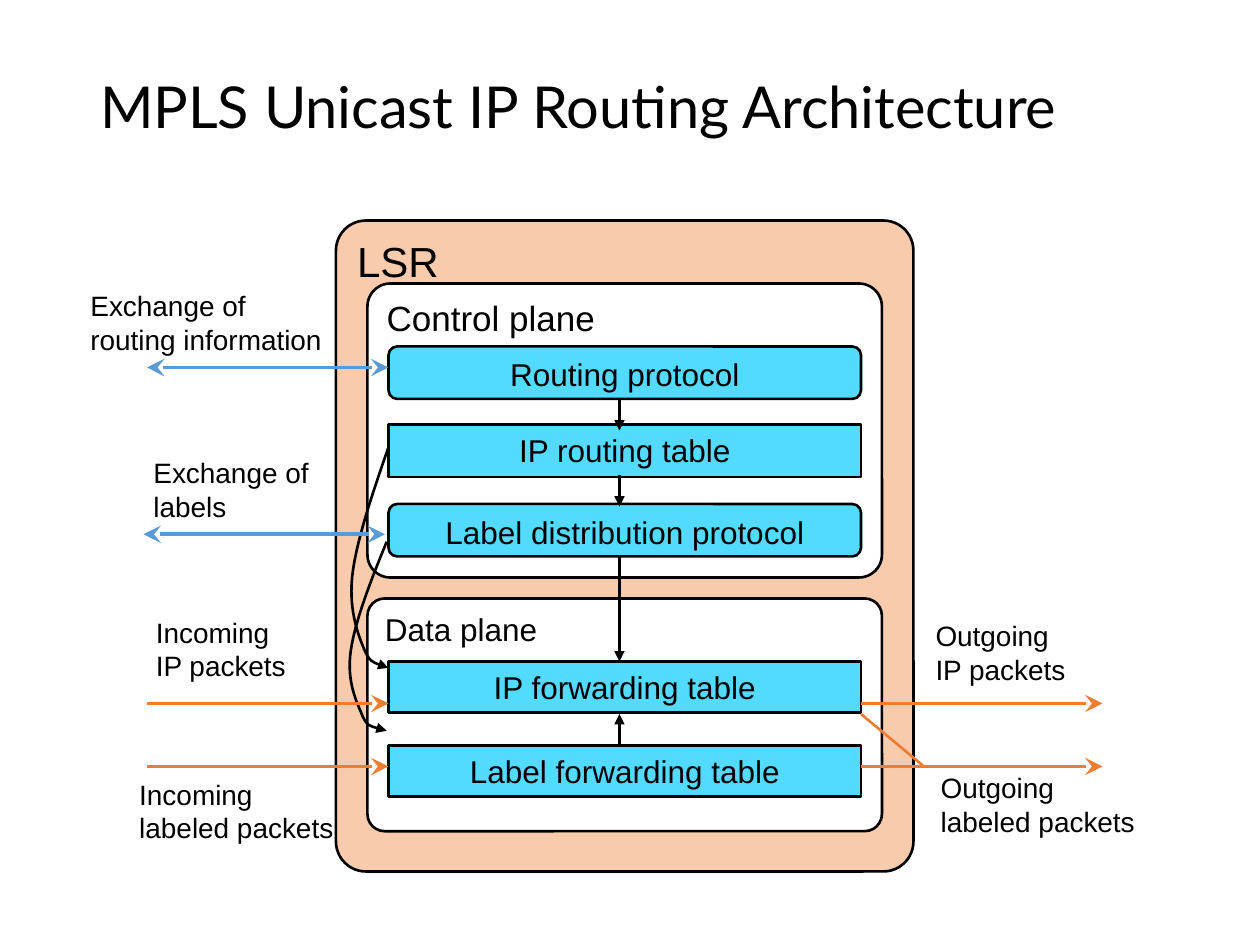
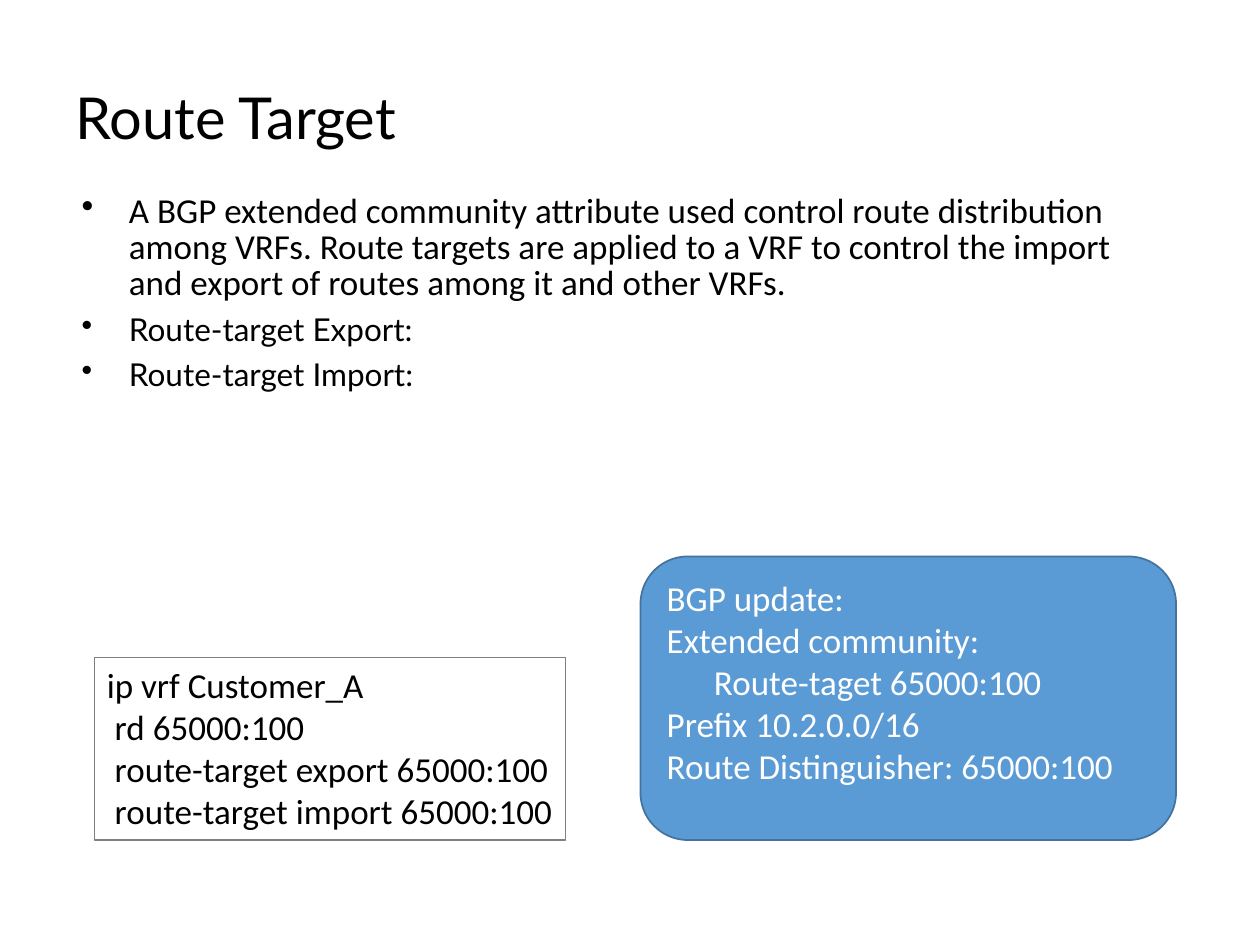
from dataclasses import dataclass

from lxml.etree import SubElement
from pptx import Presentation
from pptx.dml.color import RGBColor
from pptx.enum.shapes import MSO_CONNECTOR as Connector, MSO_SHAPE as Preset
from pptx.enum.text import MSO_ANCHOR as Anchor, MSO_AUTO_SIZE as Fit, PP_ALIGN as Align
from pptx.oxml.ns import qn
from pptx.util import Pt

TITLE_ONLY = 5


@dataclass(frozen=True)
class Theme:
    # Colours
    ink: str = "000000"
    paper: str = "FFFFFF"
    router: str = "F8CBAD"
    module: str = "53DAFF"
    control: str = "5B9BD5"
    control_edge: str = "43739E"
    data: str = "ED7D31"
    frame: str = "808080"
    # Fonts and type sizes
    heading: str = "Lato"
    body: str = "Calibri"
    diagram: str = "Arial"
    title_size: int = 33
    router_size: int = 24
    body_size: int = 20
    module_size: int = 18
    label_size: int = 16
    # Line widths
    outline: float = 1.5
    flow: float = 2


THEME = Theme()


def write(box, lines, font=THEME.body, size=THEME.body_size, color=THEME.ink,
          align=Align.LEFT, anchor=Anchor.TOP, wrap=False, spacing=None):
    """Fill a shape with one paragraph per line and return the paragraphs."""
    frame = box.text_frame
    frame.word_wrap = wrap
    frame.auto_size = Fit.NONE
    frame.vertical_anchor = anchor
    for index, line in enumerate(lines):
        para = frame.paragraphs[0] if index == 0 else frame.add_paragraph()
        para.alignment = align
        if spacing:
            para.line_spacing = spacing
        span = para.add_run()
        span.text = line
        span.font.name = font
        span.font.size = Pt(size)
        span.font.color.rgb = RGBColor.from_string(color)
    return frame.paragraphs


class Painter:
    """Holds the theme and the slide being drawn; lengths are in points."""

    def __init__(self, deck, theme):
        self.deck, self.theme, self.page = deck, theme, None

    def new_page(self, title, area):
        self.page = self.deck.slides.add_slide(self.deck.slide_layouts[TITLE_ONLY])
        box = self.page.shapes.title
        box.left, box.top, box.width, box.height = map(Pt, area)
        write(box, [title], font=self.theme.heading, size=self.theme.title_size,
              anchor=Anchor.MIDDLE, wrap=True, spacing=0.9)

    def text(self, area, lines, **style):
        return write(self.page.shapes.add_textbox(*map(Pt, area)), lines, **style)

    def bullets(self, area, items):
        for para, (size, font) in zip(
                self.text(area, [item[0] for item in items], wrap=True, spacing=0.85),
                [item[1:] for item in items]):
            para.space_before = Pt(7.5)
            para.runs[0].font.size, para.runs[0].font.name = Pt(size), font
            self.indent(para, 27, -27)
            SubElement(para._p.get_or_add_pPr(), qn("a:buChar"), char="•")

    def indent(self, para, left, first=0):
        properties = para._p.get_or_add_pPr()
        properties.set("marL", str(Pt(left)))
        properties.set("indent", str(Pt(first)))

    def box(self, area, lines, fill=None, edge=THEME.ink, width=THEME.outline,
            corner=None, preset=Preset.ROUNDED_RECTANGLE, **style):
        shape = self.page.shapes.add_shape(preset, *map(Pt, area))
        shape.shadow.inherit = False
        if corner is not None:
            shape.adjustments[0] = corner
        if fill:
            shape.fill.solid()
            shape.fill.fore_color.rgb = RGBColor.from_string(fill)
        else:
            shape.fill.background()
        self.stroke(shape, edge, width)
        return write(shape, lines, **style)

    def stroke(self, shape, color, width, head=None, tail=None, size="med"):
        shape.line.color.rgb = RGBColor.from_string(color)
        shape.line.width = Pt(width)
        for tag, kind in (("a:headEnd", head), ("a:tailEnd", tail)):
            if kind:
                SubElement(shape.line._get_or_add_ln(), qn(tag), type=kind, w=size, len=size)

    def line(self, start, end, color=THEME.ink, width=THEME.outline, **ends):
        link = self.page.shapes.add_connector(Connector.STRAIGHT, *map(Pt, start + end))
        self.stroke(link, color, width, **ends)
        SubElement(link._element.spPr, qn("a:effectLst"))

    def flow(self, left, right, y, color, both=False):
        self.line((left, y), (right, y), color, self.theme.flow,
                  head="stealth" if both else None, tail="stealth", size="lg")

    def curve(self, points):
        """Draw an arrow from a start point and three points per Bezier piece."""
        start, *rest = [(Pt(x), Pt(y)) for x, y in points]
        builder = self.page.shapes.build_freeform(*start)
        builder.add_line_segments(rest, close=False)
        shape = builder.convert_to_shape()
        shape.shadow.inherit = False
        shape.fill.background()
        self.stroke(shape, self.theme.ink, self.theme.outline, tail="triangle")
        # Turn every three straight steps into one cubic piece
        steps = list(shape._element.iter(qn("a:lnTo")))
        outline = steps[0].getparent()
        for first in range(0, len(steps), 3):
            piece = SubElement(outline, qn("a:cubicBezTo"))
            for step in steps[first:first + 3]:
                piece.append(step[0])
                outline.remove(step)


def draw_architecture(paint):
    theme = paint.theme
    paint.new_page("MPLS Unicast IP Routing Architecture", (50, 29, 620, 67))

    # Router and its two planes
    for area, name, fill, corner, size in (
            ((192, 126, 330, 372), "LSR", theme.router, 0.052, theme.router_size),
            ((210, 162, 294, 168), "Control plane", theme.paper, 0.078, theme.body_size),
            ((210, 342, 294, 133), "Data plane", theme.paper, 0.074, theme.module_size)):
        paint.box(area, [name], fill, corner=corner, font=theme.diagram, size=size)

    # Protocols have round corners, tables square ones
    left, width = 222, 270
    right, middle = left + width, 354
    for top, height, name, corner in (
            (198, 30, "Routing protocol", 0.167),
            (242.6, 30, "IP routing table", 0),
            (288, 30, "Label distribution protocol", 0.167),
            (378, 29, "IP forwarding table", 0),
            (426, 29, "Label forwarding table", 0)):
        paint.box((left, top, width, height), [name], theme.module, corner=corner,
                  font=theme.diagram, size=theme.module_size, align=Align.CENTER)

    # Steps between modules
    for start, end in ((228, 246), (271.5, 289.5), (318, 378), (426, 408)):
        paint.line((middle, start), (middle, end), tail="triangle")
    paint.curve([(222, 255.6), (213, 281.5), (204, 308), (201.5, 327.5),
                 (199, 346.5), (204, 361), (207.5, 369.5),
                 (211, 378.5), (216.5, 380), (222, 381.6)])
    paint.curve([(221, 309.6), (211.5, 332.5), (203, 355), (200.5, 371.5),
                 (198, 388), (203, 399.5), (206.5, 407.5),
                 (209.5, 415.5), (215.5, 416), (221, 417.6)])

    # Exchanges and packets
    reach = 138
    paint.flow(left - reach, left, 210, theme.control, both=True)
    paint.flow(left - reach - 2, left - 2, 305.3, theme.control, both=True)
    for y in (402, 438):
        paint.flow(left - reach, left, y, theme.data)
        paint.flow(right, right + reach, y, theme.data)
    paint.line((right, 408), (528, 438), theme.data)

    # Labels
    for x, y, width, lines in (
            (44.6, 161.3, 148, ("Exchange of", "routing information")),
            (80.6, 257, 104, ("Exchange of", "labels")),
            (82, 348, 90, ("Incoming", "IP packets")),
            (72.5, 440.6, 127, ("Incoming", "labeled packets")),
            (527.5, 350, 90, ("Outgoing", "IP packets")),
            (530.5, 437, 127, ("Outgoing", "labeled packets"))):
        paint.text((x, y, width, 46), lines, font=theme.diagram, size=theme.label_size)


def draw_route_target(paint):
    theme = paint.theme
    paint.new_page("Route Target", (36, 24, 600, 90))
    paint.bullets((39.6, 108, 612, 186), (
        ("A BGP extended community attribute used control route distribution among VRFs. "
         "Route targets are applied to a VRF to control the import and export of routes "
         "among it and other VRFs.", theme.body_size, theme.body),
        ("Route-target Export:", theme.module_size, theme.heading),
        ("Route-target Import:", theme.module_size, theme.heading)))

    # Router configuration
    paint.box((54, 375.6, 269.3, 104.4),
              ["ip vrf Customer_A", " rd 65000:100",
               " route-target export 65000:100", " route-target import 65000:100"],
              edge=theme.frame, width=0.75, preset=Preset.RECTANGLE)

    # Advertised update
    update = paint.box((366, 318, 306, 162),
                       ["BGP update:", "Extended community:", "Route-taget 65000:100",
                        "Prefix 10.2.0.0/16", "Route Distinguisher: 65000:100"],
                       theme.control, theme.control_edge, 1, color=theme.paper, wrap=True)
    paint.indent(update[2], 27)


deck = Presentation()
deck.slide_width, deck.slide_height = Pt(720), Pt(540)
painter = Painter(deck, THEME)
draw_architecture(painter)
draw_route_target(painter)
deck.save("out.pptx")
